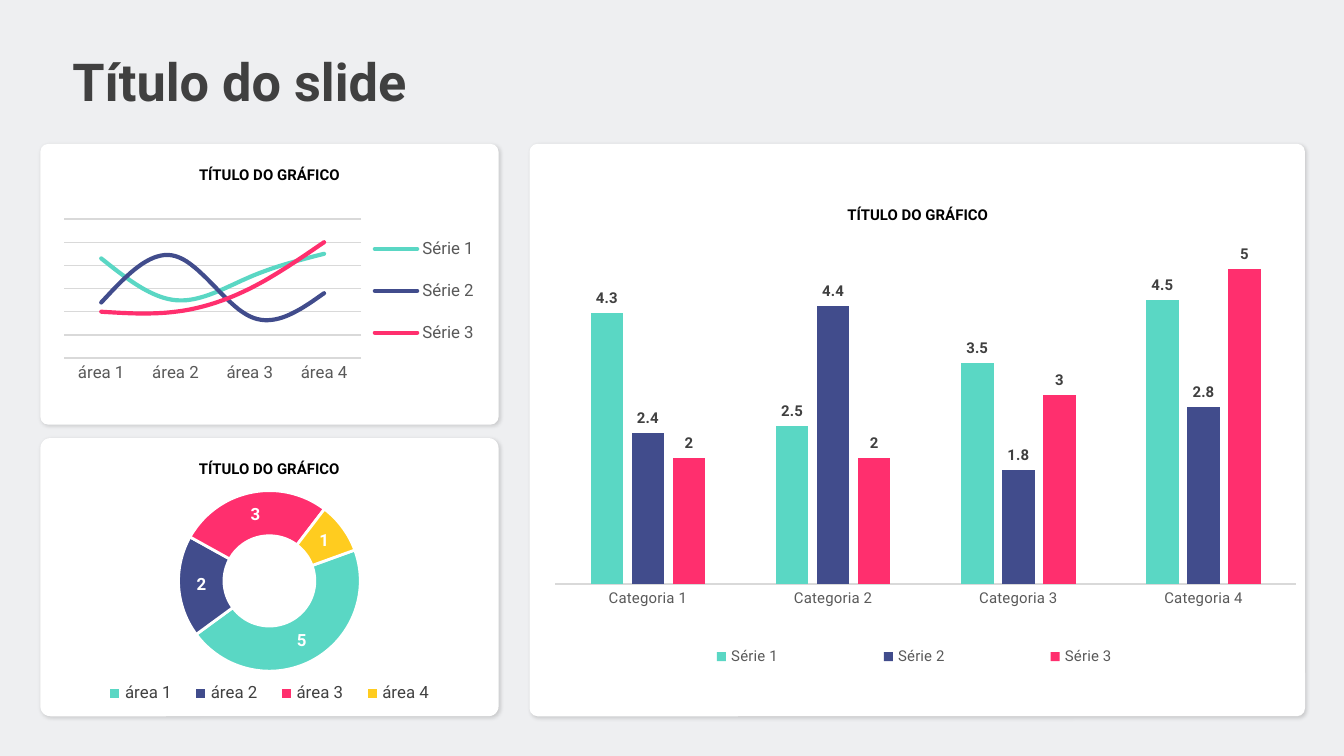
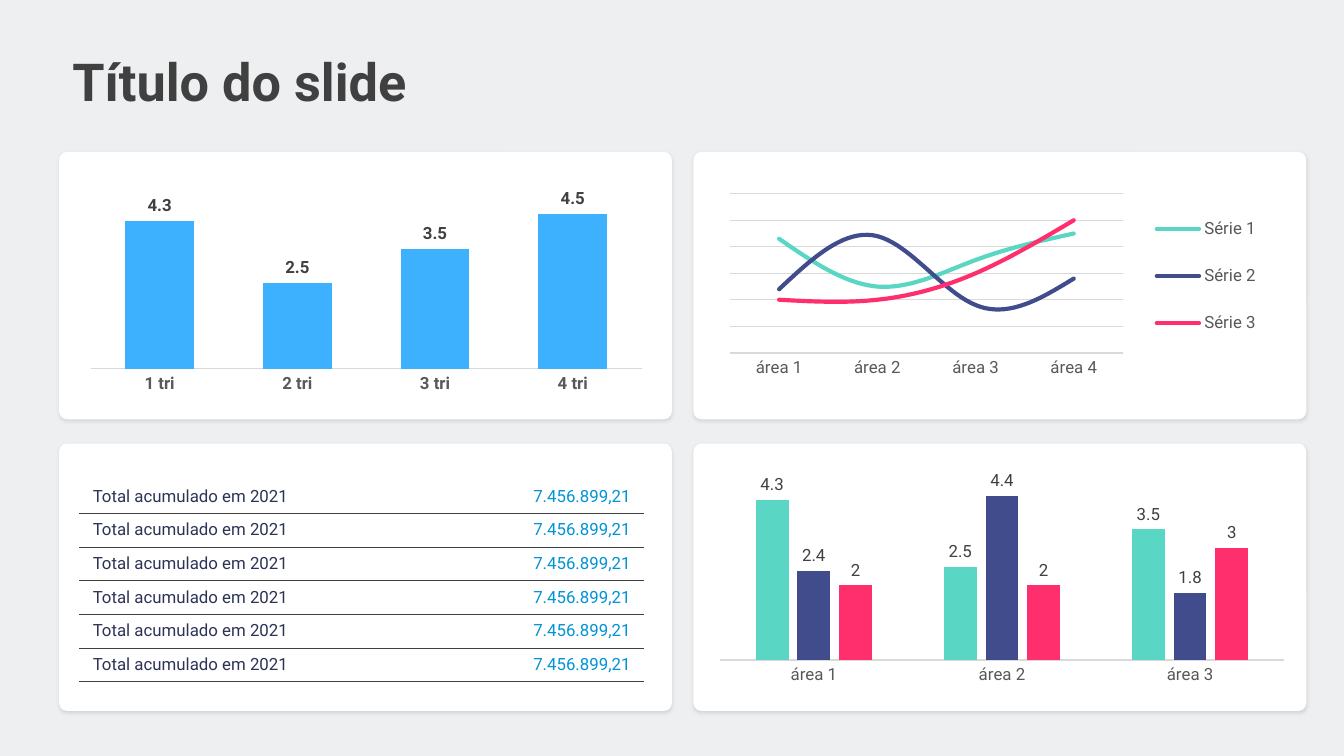
import pptx
import pptx.chart.data
import pptx.dml.color
import pptx.enum.chart
import pptx.enum.shapes
import pptx.enum.text
import pptx.oxml
import pptx.oxml.ns
import pptx.util

# Square grid: 100 columns across the slide, 56.25 rows down
COLUMNS, ROWS = 100, 56.25
CELL = pptx.util.Inches(0.1)
FONT = "Roboto"
COLORS = {
    "background": "EEEFF1", "card": "FFFFFF", "title": "404040", "black": "000000",
    "axis_text": "595959", "rule": "D9D9D9", "table_rule": "404040",
    "table_label": "2D3355", "table_value": "0093D5", "shadow_warm": "000000",
    "shadow_cool": "000104", "teal": "5AD7C4", "navy": "414C8C",
    "pink": "FF2F6E", "yellow": "FFCC1F", "sky": "3DB1FE",
}
PALETTE = ["teal", "navy", "pink", "yellow"]
AREAS = ["área 1", "área 2", "área 3", "área 4"]
LINE_VALUES = [(86, 50, 70, 90), (48, 88, 36, 56), (40, 40, 60, 100)]
COLUMN_VALUES = [(4.3, 2.5, 3.5, 4.5), (2.4, 4.4, 1.8, 2.8), (2, 2, 3, 5)]
TABLE_ROW = ("Total acumulado em 2021", "7.456.899,21")
NO_TABLE_STYLE = "{2D5ABB26-0587-4C30-8999-92F81FD0307C}"

chart_enum = pptx.enum.chart
ALIGN = pptx.enum.text.PP_ALIGN


def box(left, top, width, height):
    return [round(value * CELL) for value in (left, top, width, height)]


def color(name):
    return pptx.dml.color.RGBColor.from_string(COLORS[name])


def xml(tag, body):
    """Build one element in the drawing (a) or chart (c) namespace."""
    return pptx.oxml.parse_xml(
        f"<{tag} {pptx.oxml.ns.nsdecls('a', 'c')} {body}")


def style_font(font, size, color_name, bold=False):
    font.name = FONT
    font.size = pptx.util.Pt(size)
    font.bold = bold
    font.color.rgb = color(color_name)


def add_run(paragraph, text, size, color_name, bold=False, align=ALIGN.LEFT):
    paragraph.alignment = align
    run = paragraph.add_run()
    run.text = text
    style_font(run.font, size, color_name, bold)


# Slide, text and cards
def add_slide(presentation):
    slide = presentation.slides.add_slide(presentation.slide_layouts[6])
    slide.background.fill.solid()
    slide.background.fill.fore_color.rgb = color("background")
    add_text(slide, (4.4, 3.2, 44.2, 5.7), "Título do slide", 28, "title", ALIGN.LEFT)
    return slide


def add_text(slide, area, text, size, color_name, align):
    frame = slide.shapes.add_textbox(*box(*area)).text_frame
    frame.word_wrap = True
    add_run(frame.paragraphs[0], text, size, color_name, True, align)


def add_chart_title(slide, left, top, width):
    add_text(slide, (left, top, width, 2.4), "TÍTULO DO GRÁFICO", 8, "black", ALIGN.CENTER)


def add_card(slide, area, shadow, alpha, angle, radius=0.6):
    card = slide.shapes.add_shape(
        pptx.enum.shapes.MSO_SHAPE.ROUNDED_RECTANGLE, *box(*area))
    card.adjustments[0] = radius / area[3]
    card.fill.solid()
    card.fill.fore_color.rgb = color("card")
    card.line.fill.background()
    card.shadow.inherit = False
    effects = card.element.spPr.find(pptx.oxml.ns.qn("a:effectLst"))
    effects.append(xml("a:outerShdw", (
        f'blurRad="{pptx.util.Pt(2)}" dist="{pptx.util.Pt(1)}" dir="{angle * 60000}" '
        f'algn="tl" rotWithShape="0"><a:srgbClr val="{COLORS[shadow]}">'
        f'<a:alpha val="{alpha * 1000}"/></a:srgbClr></a:outerShdw>')))


# Charts
def set_layout(parent, position, shares, inner=False):
    """Place a plot area or legend by shares of the chart's size."""
    for old in parent.xpath("c:layout"):
        parent.remove(old)
    target = '<c:layoutTarget val="inner"/>' if inner else ""
    modes = '<c:xMode val="edge"/><c:yMode val="edge"/>'
    sizes = "".join(f'<c:{key} val="{share}"/>' for key, share in zip("xywh", shares))
    parent.insert(position, xml("c:layout", (
        f"><c:manualLayout>{target}{modes}{sizes}</c:manualLayout></c:layout>")))


def add_chart(slide, kind, area, categories, names, rows, plot_area, size):
    data = pptx.chart.data.CategoryChartData()
    data.categories = categories
    for name, values in zip(names, rows):
        data.add_series(name, values)
    chart = slide.shapes.add_chart(kind, *box(*area), data).chart
    chart.has_title = False
    chart.has_legend = False
    style_font(chart.font, size, "black")
    set_layout(chart.element.xpath(".//c:plotArea")[0], 0, plot_area, True)
    return chart


def add_legend(chart, position, shares, size, color_name="axis_text"):
    chart.has_legend = True
    chart.legend.position = position
    chart.legend.include_in_layout = False
    style_font(chart.legend.font, size, color_name)
    set_layout(chart.legend._element, 1, shares)


def add_labels(series, size, color_name, bold):
    labels = series.data_labels
    labels.show_value = True
    style_font(labels.font, size, color_name, bold)
    return labels


def style_rule(line):
    line.color.rgb = color("rule")
    line.width = pptx.util.Pt(0.75)


def style_axes(chart, size, maximum, step, bold=False, grid=False):
    category_axis, value_axis = chart.category_axis, chart.value_axis
    category_axis.major_tick_mark = chart_enum.XL_TICK_MARK.NONE
    category_axis.minor_tick_mark = chart_enum.XL_TICK_MARK.NONE
    style_font(category_axis.tick_labels.font, size, "axis_text", bold)
    style_rule(category_axis.format.line)
    value_axis.minimum_scale, value_axis.maximum_scale = 0, maximum
    value_axis.major_unit = step
    value_axis.has_major_gridlines = grid
    if grid:
        style_rule(value_axis.major_gridlines.format.line)
    value_axis.visible = False


def add_column_chart(slide, area, categories, names, rows, plot_area, maximum,
                     size=9, bold_axis=False, bold_labels=False, gap=219, palette=PALETTE):
    chart = add_chart(slide, chart_enum.XL_CHART_TYPE.COLUMN_CLUSTERED, area,
                      categories, names, rows, plot_area, size)
    style_axes(chart, size, maximum, 1, bold_axis)
    plot = chart.plots[0]
    plot.gap_width, plot.overlap = gap, -27
    plot.vary_by_categories = False
    for series, name in zip(plot.series, palette):
        series.invert_if_negative = False
        series.format.fill.solid()
        series.format.fill.fore_color.rgb = color(name)
        labels = add_labels(series, size, "title", bold_labels)
        labels.position = chart_enum.XL_LABEL_POSITION.OUTSIDE_END
    return chart


def add_line_chart(slide, area, names):
    chart = add_chart(slide, chart_enum.XL_CHART_TYPE.LINE, area, AREAS, names,
                      LINE_VALUES, (0.05, 0.09, 0.66, 0.62), 9)
    style_axes(chart, 9, 120, 20, grid=True)
    chart.plots[0].vary_by_categories = False
    for series, name in zip(chart.plots[0].series, PALETTE):
        series.smooth = True
        series.marker.style = chart_enum.XL_MARKER_STYLE.NONE
        series.format.line.color.rgb = color(name)
        series.format.line.width = pptx.util.Pt(2.25)
    for line in chart.element.xpath(".//c:ser/c:spPr/a:ln"):
        line.set("cap", "rnd")
    add_legend(chart, chart_enum.XL_LEGEND_POSITION.RIGHT, (0.71, 0.08, 0.28, 0.66), 9)


def add_doughnut_chart(slide, area, values):
    chart = add_chart(slide, chart_enum.XL_CHART_TYPE.DOUGHNUT, area, AREAS,
                      ["Series 1"], [values], (0.25, 0, 0.5, 0.82), 9)
    series = chart.plots[0].series[0]
    for index, name in enumerate(PALETTE):
        point = series.points[index].format
        point.fill.solid()
        point.fill.fore_color.rgb = color(name)
        point.line.color.rgb = color("card")
        point.line.width = pptx.util.Pt(1.5)
    add_labels(series, 9, "card", True)
    for tag, value in (("firstSliceAng", 70), ("holeSize", 55)):
        chart.element.xpath(f".//c:{tag}")[0].set("val", str(value))
    add_legend(chart, chart_enum.XL_LEGEND_POSITION.BOTTOM,
               (0.1, 0.86, 0.8, 0.12), 9, "title")


# Table
def add_totals_table(slide, area, row_count):
    table = slide.shapes.add_table(row_count, 2, *box(*area)).table
    table.first_row = table.horz_banding = False
    table._tbl.tblPr.find(pptx.oxml.ns.qn("a:tableStyleId")).text = NO_TABLE_STYLE
    styles = (("table_label", ALIGN.LEFT), ("table_value", ALIGN.RIGHT))
    for row in table.rows:
        for cell, text, (color_name, align) in zip(row.cells, TABLE_ROW, styles):
            cell.margin_top = cell.margin_bottom = pptx.util.Inches(0.02)
            cell.vertical_anchor = pptx.enum.text.MSO_ANCHOR.MIDDLE
            cell.fill.background()
            add_run(cell.text_frame.paragraphs[0], text, 9, color_name, align=align)
            cell._tc.get_or_add_tcPr().insert(0, xml("a:lnB", (
                f'w="{pptx.util.Pt(0.25)}"><a:solidFill><a:srgbClr '
                f'val="{COLORS["table_rule"]}"/></a:solidFill></a:lnB>')))


def build_overview(presentation, names):
    slide = add_slide(presentation)
    for area, radius in (((3, 32.6, 34.1, 20.7), 0.75),
                         ((3, 10.7, 34.1, 20.9), 0.6),
                         ((39.4, 10.7, 57.7, 42.6), 0.6)):
        add_card(slide, area, "shadow_warm", 15, 45, radius)
    add_chart_title(slide, 7.9, 33.7, 24.3)
    add_doughnut_chart(slide, (3.5, 36.4, 33.1, 16.5), (5, 2, 3, 1))
    add_chart_title(slide, 5.6, 11.8, 28.9)
    chart = add_column_chart(
        slide, (40.2, 15.3, 56.3, 36.1), [f"Categoria {n}" for n in range(1, 5)],
        names, COLUMN_VALUES, (0.02, 0, 0.98, 0.78), 6, size=8, bold_labels=True)
    add_legend(chart, chart_enum.XL_LEGEND_POSITION.BOTTOM, (0.1, 0.88, 0.79, 0.1), 8)
    add_chart_title(slide, 52.6, 14.8, 31.4)
    add_line_chart(slide, (3.1, 14.8, 33.5, 16.7), names)


def build_dashboard(presentation, names):
    slide = add_slide(presentation)
    for left in (4.4, 51.6):
        for top in (11.3, 33):
            add_card(slide, (left, top, 45.6, 19.9), "shadow_cool", 10, 90)
    add_column_chart(
        slide, (5.9, 14.1, 42.7, 15.5), [f"{n} tri" for n in range(1, 5)],
        ["Series 1"], COLUMN_VALUES[:1], (0.02, 0.03, 0.96, 0.83), 5,
        bold_axis=True, bold_labels=True, gap=100, palette=["sky"])
    add_column_chart(
        slide, (52.7, 34.7, 42.9, 17.6), AREAS[:3],
        [f"Series {n}" for n in range(1, 4)], [row[:3] for row in COLUMN_VALUES],
        (0.02, 0.03, 0.98, 0.79), 5)
    add_line_chart(slide, (52.1, 12.7, 44.3, 19.1), names)
    add_totals_table(slide, (5.9, 35.7, 42, 15), 6)


def main():
    presentation = pptx.Presentation()
    presentation.slide_width = round(COLUMNS * CELL)
    presentation.slide_height = round(ROWS * CELL)
    names = [f"Série {n}" for n in range(1, 4)]
    build_overview(presentation, names)
    build_dashboard(presentation, names)
    presentation.save("out.pptx")


if __name__ == "__main__":
    main()
